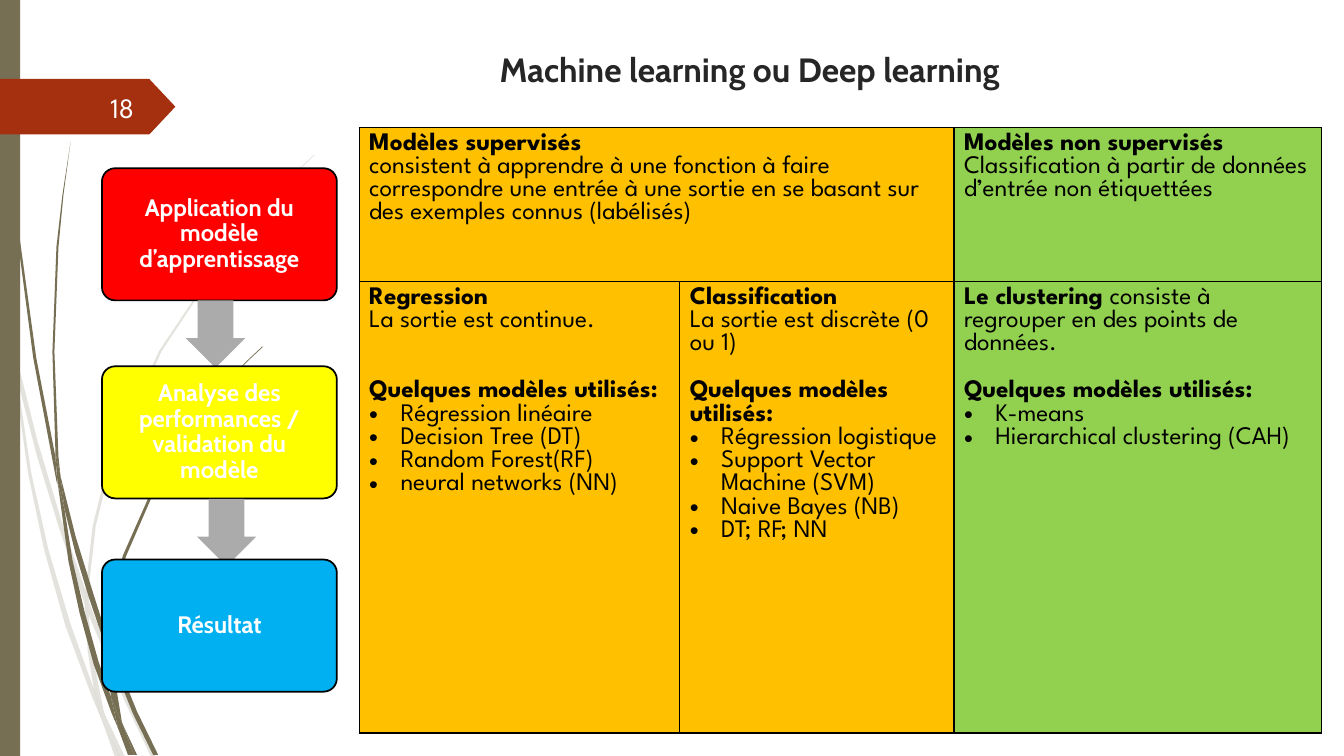
from pptx import Presentation
from pptx.dml.color import RGBColor
from pptx.enum.shapes import MSO_SHAPE
from pptx.enum.text import MSO_ANCHOR, PP_ALIGN
from pptx.oxml import parse_xml
from pptx.oxml.ns import nsdecls
from pptx.util import Cm, Pt
from lxml.etree import SubElement
from dataclasses import dataclass


@dataclass(frozen=True)
class Theme:
    olive: str = "766F54"
    rust: str = "A53010"
    dark: str = "262626"
    pale: str = "FEFFFF"
    white: str = "FFFFFF"
    black: str = "000000"
    gray: str = "ABABAB"
    red: str = "FF0000"
    yellow: str = "FFFF00"
    blue: str = "00B0F0"
    amber: str = "FFC000"
    green: str = "92D050"
    head: str = "Cabin"
    body: str = "League Spartan"
    title: int = 24
    number: int = 20
    cell: int = 18
    step: int = 17


class Page:
    def __init__(self, deck, theme):
        self.theme = theme
        self.shapes = deck.slides.add_slide(deck.slide_layouts[6]).shapes

    def paint(self, shape, color, line=None):
        shape.shadow.inherit = False
        shape.fill.solid()
        shape.fill.fore_color.rgb = RGBColor.from_string(color)
        if line:
            shape.line.color.rgb = RGBColor.from_string(line)
            shape.line.width = Pt(1.25)
        else:
            shape.line.fill.background()

    def font(self, para, name, size, color, bold=None):
        para.font.name = name
        para.font.size = Pt(size)
        para.font.color.rgb = RGBColor.from_string(color)
        para.font.bold = bold

    def shape(self, kind, box, color, line=None, adjust=()):
        shape = self.shapes.add_shape(kind, *map(Cm, box))
        for i, value in enumerate(adjust):
            shape.adjustments[i] = value
        self.paint(shape, color, line)
        return shape

    def blade(self, flat, alpha=None):
        edge = list(zip(flat[::2], flat[1::2]))
        maker = self.shapes.build_freeform(*edge[0], scale=Cm(2.54) / 100)
        maker.add_line_segments(edge[1:], close=True)
        shape = maker.convert_to_shape()
        self.paint(shape, self.theme.olive)
        if alpha:
            tint = shape.fill._xPr.solidFill[0]
            SubElement(tint, tint.tag.replace("srgbClr", "alpha"), val=str(alpha * 1000))

    def label(self, box, text, size, color, name, align, anchor, bold=False):
        frame = self.shapes.add_textbox(*map(Cm, box)).text_frame
        frame.word_wrap = True
        frame.vertical_anchor = anchor
        para = frame.paragraphs[0]
        para.text = text
        para.alignment = align
        self.font(para, name, size, color, bold)

    def step(self, top, text, color):
        look = self.theme
        box = self.shape(MSO_SHAPE.ROUNDED_RECTANGLE, (2.57, top, 5.92, 3.33), color, look.black, [0.1])
        frame = box.text_frame
        frame.word_wrap = True
        frame.vertical_anchor = MSO_ANCHOR.MIDDLE
        frame.margin_left = frame.margin_right = Cm(0.28)
        para = frame.paragraphs[0]
        para.text = text
        para.alignment = PP_ALIGN.CENTER
        para.line_spacing = 0.9
        self.font(para, look.head, look.step, look.white, True)

    def arrow(self, left, top):
        self.shape(MSO_SHAPE.DOWN_ARROW, (left, top, 1.5, 1.7), self.theme.gray, adjust=[0.6, 0.5])

    def line(self, para, style, text, gap=0):
        mixed = style == "mix"
        self.font(para, self.theme.body, self.theme.cell, self.theme.black,
                  None if mixed else style == "bold")
        if gap:
            para.space_before = Pt(gap)
        for i, part in enumerate(text.split("|")):
            run = para.add_run()
            run.text = part
            if mixed:
                run.font.bold = i == 0
        if style == "item":
            props = para._p.get_or_add_pPr()
            props.set("marL", str(Cm(0.79)))
            props.set("indent", str(-Cm(0.79)))
            face = props.find("{*}defRPr")
            for mark in ('buFont typeface="Arial"', 'buChar char="•"'):
                tag, rest = mark.split(" ")
                face.addprevious(parse_xml(f'<a:{tag} {nsdecls("a")} {rest}/>'))

    def cell(self, cell, lines, color):
        frame = cell.text_frame
        for i, entry in enumerate(lines):
            self.line(frame.add_paragraph() if i else frame.paragraphs[0], *entry)
        props = cell._tc.get_or_add_tcPr()
        for side in "LRTB":
            props.append(parse_xml(
                f'<a:ln{side} {nsdecls("a")} w="{Pt(1)}"><a:solidFill>'
                f'<a:srgbClr val="{self.theme.black}"/></a:solidFill></a:ln{side}>'))
        cell.fill.solid()
        cell.fill.fore_color.rgb = RGBColor.from_string(color)

    def table(self, spot, cols, rows, grid, colors):
        size = sum(cols), sum(rows)
        table = self.shapes.add_table(len(rows), len(cols), *map(Cm, spot + size)).table
        table.first_row = table.horz_banding = False
        for col, width in zip(table.columns, cols):
            col.width = Cm(width)
        for row, height in zip(table.rows, rows):
            row.height = Cm(height)
        table.cell(0, 0).merge(table.cell(0, 1))
        for r, row in enumerate(grid):
            for c, lines in enumerate(row):
                self.cell(table.cell(r, c), lines, colors[c])


PALE = [
    (11, 350, 9, 322, 0, 282, 0, 299, 10, 344),
    (58, 522, 84, 599, 85, 586, 62, 520, 37, 437, 14, 345, 17, 376, 36, 450),
    (92, 607, 88, 596, 88, 610, 123, 694, 150, 751, 155, 751, 127, 692),
    (119, 751, 124, 751, 105, 711),
    (93, 683, 70, 619, 48, 545, 31, 469, 17, 376, 11, 350, 28, 470, 44, 546, 65, 621, 92, 693, 101, 714),
    (84, 599, 87, 646, 93, 683, 96, 692, 105, 711, 103, 706, 91, 646, 88, 610, 88, 608),
    (88, 584, 95, 522, 110, 462, 160, 349, 229, 245, 268, 198, 290, 175, 312, 154,
     312, 153, 289, 175, 268, 197, 228, 244, 158, 348, 107, 461, 92, 522, 85, 584, 85, 586, 88, 596),
    (101, 714, 114, 751, 119, 751),
    (88, 608, 88, 596, 85, 586, 84, 599),
    (96, 692, 93, 683, 99, 707, 101, 714, 119, 751, 105, 711),
]
DARK = [
    (7, 110, 17, 233, 33, 355, 56, 477, 57, 481, 55, 453, 36, 355, 19, 232, 8, 109, 5, 48, 4, 0, 3, 0, 4, 48),
    (88, 592, 106, 645, 106, 631, 93, 590, 75, 532, 60, 472, 64, 505, 75, 549),
    (113, 649, 110, 641, 111, 656, 132, 708, 152, 749, 157, 749, 136, 706),
    (110, 691, 98, 657, 84, 607, 72, 556, 64, 505, 57, 477, 68, 557, 79, 608, 93, 659, 111, 708, 117, 722),
    (60, 472, 58, 453, 54, 349, 58, 245, 63, 193, 70, 141, 62, 193, 56, 245, 52, 349, 55, 449),
    (133, 749, 136, 749, 122, 719),
    (57, 477, 64, 505, 60, 472, 55, 449, 55, 453),
    (111, 633, 115, 592, 125, 552, 158, 476, 205, 406, 231, 374, 245, 359, 261, 344,
     260, 344, 245, 358, 231, 373, 204, 405, 156, 474, 122, 551, 111, 591, 106, 631, 110, 641),
    (117, 722, 127, 749, 131, 749),
    (106, 645, 110, 691, 116, 706, 122, 719, 121, 716, 111, 656, 109, 651),
    (116, 706, 110, 691, 116, 717, 117, 722, 130, 749, 133, 749, 122, 719),
]
USED = "Quelques modèles utilisés:"


def items(*names):
    return [("item", name) for name in names]


GRID = [
    [[("bold", "Modèles supervisés"),
      ("plain", "consistent à apprendre à une fonction à faire correspondre une entrée "
                "à une sortie en se basant sur des exemples connus (labélisés)")], [],
     [("bold", "Modèles non supervisés"),
      ("plain", "Classification à partir de données d’entrée non étiquettées")]],
    [[("bold", "Regression"), ("plain", "La sortie est continue."), ("bold", USED, 33.5),
      *items("Régression linéaire", "Decision Tree (DT)", "Random Forest(RF)", "neural networks (NN)")],
     [("bold", "Classification"), ("plain", "La sortie est discrète (0 ou 1)"), ("bold", USED, 17),
      *items("Régression logistique", "Support Vector Machine (SVM)", "Naive Bayes (NB)", "DT; RF; NN")],
     [("mix", "Le clustering |consiste à regrouper en des points de données."),
      ("bold", USED, 17), *items("K-means", "Hierarchical clustering (CAH)")]],
]


def main():
    deck = Presentation()
    deck.slide_width, deck.slide_height = Cm(33.87), Cm(19.05)
    look = Theme()
    page = Page(deck, look)
    for group, alpha in ((PALE, 20), (DARK, None)):
        for flat in group:
            page.blade(flat, alpha)
    page.shape(MSO_SHAPE.RECTANGLE, (0, 0, 0.51, 19.05), look.olive)
    page.shape(MSO_SHAPE.PENTAGON, (0, 1.99, 4.42, 1.4), look.rust, adjust=[0.47])
    page.label((4.67, 1.12, 28.63, 2.08), "Machine learning ou Deep learning ", look.title,
               look.dark, look.head, PP_ALIGN.CENTER, MSO_ANCHOR.TOP, True)
    page.label((1.47, 2.2, 2.16, 1.02), "18", look.number, look.pale, look.body,
               PP_ALIGN.RIGHT, MSO_ANCHOR.MIDDLE)
    page.step(4.24, "Application du modèle d’apprentissage", look.red)
    page.arrow(4.68, 7.57)
    page.step(9.23, "Analyse des performances / validation du modèle", look.yellow)
    page.arrow(4.96, 12.57)
    page.step(14.1, "Résultat", look.blue)
    page.table((9.05, 3.21), (8.08, 6.91, 9.27), (3.89, 11.37), GRID, (look.amber, look.amber, look.green))
    deck.save("out.pptx")


if __name__ == "__main__":
    main()
